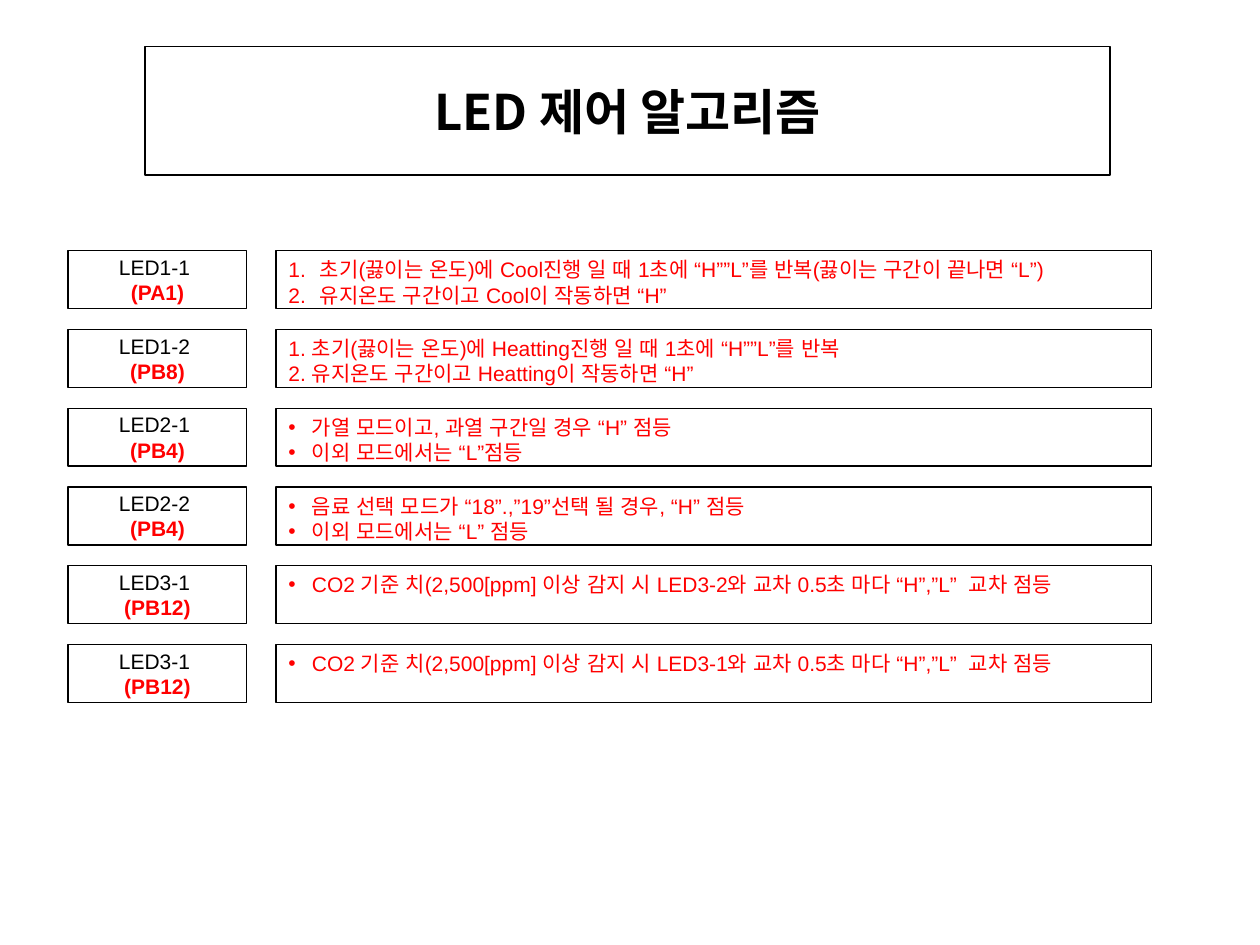
from dataclasses import dataclass
from enum import Enum

from lxml.etree import SubElement
from pptx import Presentation
from pptx.dml.color import RGBColor
from pptx.enum.shapes import MSO_SHAPE
from pptx.enum.text import MSO_ANCHOR, MSO_AUTO_SIZE, PP_ALIGN
from pptx.oxml.ns import qn
from pptx.util import Pt

BLACK = RGBColor(0x00, 0x00, 0x00)
RED = RGBColor(0xFF, 0x00, 0x00)
BODY_FONT = "Arial"
TITLE_FONT = "Noto Sans CJK KR"

LABEL_LEFT, LABEL_WIDTH = 38.9, 102.2
RULE_LEFT, RULE_WIDTH = 157.7, 500.4
FIRST_TOP, ROW_PITCH, ROW_HEIGHT = 143.3, 45, 33.1


class Marker(Enum):
    PLAIN = 0
    BULLET = 13.5
    NUMBER = 18


@dataclass
class LedRow:
    name: str
    pin: str
    marker: Marker
    rules: list[str]


ROWS = [
    LedRow("LED1-1 ", "(PA1)", Marker.NUMBER, [
        "초기(끓이는 온도)에 Cool진행 일 때 1초에 “H””L”를 반복(끓이는 구간이 끝나면 “L”)",
        "유지온도 구간이고 Cool이 작동하면 “H”",
    ]),
    LedRow("LED1-2 ", "(PB8)", Marker.PLAIN, [
        "1. 초기(끓이는 온도)에 Heatting진행 일 때 1초에 “H””L”를 반복",
        "2. 유지온도 구간이고 Heatting이 작동하면 “H”",
    ]),
    LedRow("LED2-1 ", "(PB4)", Marker.BULLET, [
        "가열 모드이고, 과열 구간일 경우 “H” 점등",
        "이외 모드에서는 “L”점등",
    ]),
    LedRow("LED2-2 ", "(PB4)", Marker.BULLET, [
        "음료 선택 모드가 “18”.,”19”선택 될 경우, “H” 점등",
        "이외 모드에서는 “L” 점등",
    ]),
    LedRow("LED3-1 ", "(PB12)", Marker.BULLET, [
        "CO2 기준 치(2,500[ppm] 이상 감지 시 LED3-2와 교차 0.5초 마다 “H”,”L”  교차 점등",
    ]),
    LedRow("LED3-1 ", "(PB12)", Marker.BULLET, [
        "CO2 기준 치(2,500[ppm] 이상 감지 시 LED3-1와 교차 0.5초 마다 “H”,”L”  교차 점등",
    ]),
]


def outline(shape) -> None:
    shape.fill.background()
    shape.line.color.rgb = BLACK
    shape.line.width = Pt(0.75)


def add_run(paragraph, text: str, color: RGBColor, bold: bool = False,
            size: float = 12, font: str = BODY_FONT) -> None:
    run = paragraph.add_run()
    run.text = text
    run.font.size = Pt(size)
    run.font.bold = bold
    run.font.name = font
    run.font.color.rgb = color
    SubElement(run.font._element, qn("a:ea"), typeface=font)


def add_box(slide, left: float, top: float, width: float, anchor: MSO_ANCHOR):
    shape = slide.shapes.add_shape(
        MSO_SHAPE.RECTANGLE, Pt(left), Pt(top), Pt(width), Pt(ROW_HEIGHT))
    shape.shadow.inherit = False
    outline(shape)
    shape.text_frame.word_wrap = True
    shape.text_frame.vertical_anchor = anchor
    return shape


def add_paragraph(shape, index: int, alignment: PP_ALIGN):
    frame = shape.text_frame
    paragraph = frame.add_paragraph() if index else frame.paragraphs[0]
    paragraph.alignment = alignment
    return paragraph


def set_marker(paragraph, marker: Marker) -> None:
    if marker is Marker.PLAIN:
        return
    properties = paragraph._p.get_or_add_pPr()
    indent = Pt(marker.value)
    properties.set("marL", str(indent))
    properties.set("indent", str(-indent))
    if marker is Marker.NUMBER:
        SubElement(properties, qn("a:buFont"), typeface=TITLE_FONT)
        SubElement(properties, qn("a:buAutoNum"), type="arabicPeriod")
    else:
        SubElement(properties, qn("a:buFont"), typeface=BODY_FONT)
        SubElement(properties, qn("a:buChar"), char="•")


def add_title(slide, text: str) -> None:
    title = slide.shapes.title
    title.left, title.top = Pt(82.8), Pt(26.6)
    title.width, title.height = Pt(551.5), Pt(73.4)
    outline(title)
    frame = title.text_frame
    frame.auto_size = MSO_AUTO_SIZE.NONE
    frame.vertical_anchor = MSO_ANCHOR.MIDDLE
    paragraph = add_paragraph(title, 0, PP_ALIGN.CENTER)
    add_run(paragraph, text, BLACK, bold=True, size=28, font=TITLE_FONT)


def add_row(slide, row: LedRow, top: float) -> None:
    label = add_box(slide, LABEL_LEFT, top, LABEL_WIDTH, MSO_ANCHOR.MIDDLE)
    add_run(add_paragraph(label, 0, PP_ALIGN.CENTER), row.name, BLACK)
    add_run(add_paragraph(label, 1, PP_ALIGN.CENTER), row.pin, RED, bold=True)
    rule_box = add_box(slide, RULE_LEFT, top, RULE_WIDTH, MSO_ANCHOR.TOP)
    for index, rule in enumerate(row.rules):
        paragraph = add_paragraph(rule_box, index, PP_ALIGN.LEFT)
        set_marker(paragraph, row.marker)
        add_run(paragraph, rule, RED)


presentation = Presentation()
presentation.slide_width, presentation.slide_height = Pt(720), Pt(540)
slide = presentation.slides.add_slide(presentation.slide_layouts[5])
add_title(slide, "LED 제어 알고리즘")
for index, row in enumerate(ROWS):
    add_row(slide, row, FIRST_TOP + index * ROW_PITCH)
presentation.save("out.pptx")
